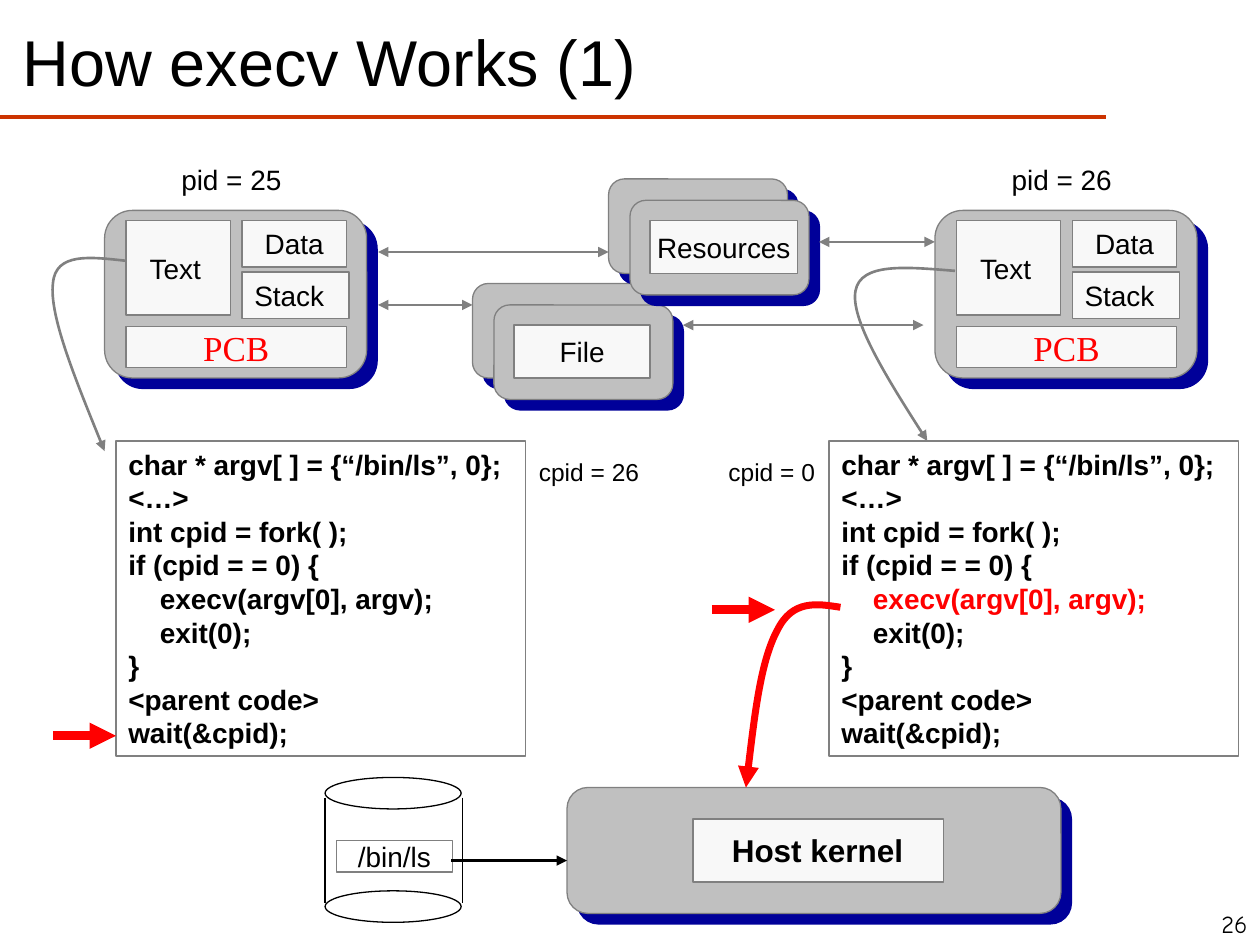
from lxml import etree
from pptx import Presentation
from pptx.dml.color import RGBColor
from pptx.enum import shapes as kinds, text as te
from pptx.oxml.ns import qn
from pptx.util import Inches, Pt

BLACK = RGBColor(0x00, 0x00, 0x00)
WHITE = RGBColor(0xFF, 0xFF, 0xFF)
RED = RGBColor(0xFF, 0x00, 0x00)
GRAY = RGBColor(0x80, 0x80, 0x80)
SILVER = RGBColor(0xC0, 0xC0, 0xC0)
PALE = RGBColor(0xF8, 0xF8, 0xF8)
NAVY = RGBColor(0x00, 0x00, 0x99)
RUST = RGBColor(0xCC, 0x33, 0x00)

RECT = kinds.MSO_SHAPE.RECTANGLE
OVAL = kinds.MSO_SHAPE.OVAL
ROUND = kinds.MSO_SHAPE.ROUNDED_RECTANGLE
LEFT, CENTER, RIGHT = te.PP_ALIGN.LEFT, te.PP_ALIGN.CENTER, te.PP_ALIGN.RIGHT
TOP, MIDDLE, BOTTOM = te.MSO_ANCHOR.TOP, te.MSO_ANCHOR.MIDDLE, te.MSO_ANCHOR.BOTTOM

CODE = [
    ("char * argv[ ] = {“/bin/ls”, 0};", 0),
    ("<…>", 0),
    ("int cpid = fork( );", 0),
    ("if (cpid = = 0) {", 0),
    ("execv(argv[0], argv);", 0.25),
    ("exit(0);", 0.25),
    ("}", 0),
    ("<parent code>", 0),
    ("wait(&cpid);", 0),
]


def write(p, text, size=16, color=BLACK, bold=False, font="Arial", align=LEFT, indent=0):
    """Put one formatted run of text in a paragraph."""
    p.alignment = align
    if indent:
        p._p.get_or_add_pPr().set("marL", str(Inches(indent)))
    r = p.add_run()
    r.text = text
    r.font.size = Pt(size)
    r.font.name = font
    r.font.bold = bold
    r.font.color.rgb = color


def frame(sp, anchor=TOP, wrap=False):
    """Set the anchor and wrapping of a shape's text and return its first paragraph."""
    tf = sp.text_frame
    tf.vertical_anchor = anchor
    tf.word_wrap = wrap
    tf.auto_size = te.MSO_AUTO_SIZE.NONE
    return tf.paragraphs[0]


def add_label(shapes, text, x, y, w, h, anchor=TOP, **style):
    """Add a plain text box."""
    sp = shapes.add_textbox(Inches(x), Inches(y), Inches(w), Inches(h))
    write(frame(sp, anchor), text, **style)


def add_box(shapes, x, y, w, h, text="", kind=RECT, fill=PALE, line=GRAY,
            anchor=MIDDLE, align=CENTER, **style):
    """Add a preset shape with an optional caption."""
    sp = shapes.add_shape(kind, Inches(x), Inches(y), Inches(w), Inches(h))
    sp.shadow.inherit = False
    if fill is None:
        sp.fill.background()
    else:
        sp.fill.solid()
        sp.fill.fore_color.rgb = fill
    if line is None:
        sp.line.fill.background()
    else:
        sp.line.color.rgb = line
        sp.line.width = Pt(0.75)
    p = frame(sp, anchor)
    if text:
        write(p, text, align=align, **style)
    return sp


def add_panel(shapes, x, y, w, h):
    """Add a rounded panel with a hard offset shadow."""
    sp = add_box(shapes, x, y, w, h, kind=ROUND, fill=SILVER)
    effects = sp.element.spPr.find(qn("a:effectLst"))
    shadow = etree.SubElement(effects, qn("a:outerShdw"), blurRad="0", dist=str(Pt(8.5)),
                              dir="2700000", algn="ctr", rotWithShape="0")
    etree.SubElement(shadow, qn("a:srgbClr"), val=str(NAVY))


def style_line(sp, color, width, ends=()):
    """Colour an open line and put arrowheads on the named ends."""
    sp.line.color.rgb = color
    sp.line.width = Pt(width)
    ln = sp.element.spPr.find(qn("a:ln"))
    for end in ends:
        etree.SubElement(ln, qn(f"a:{end}"), type="triangle")


def add_line(shapes, x1, y1, x2, y2, color=GRAY, width=0.75, ends=()):
    """Add a straight line."""
    sp = shapes.add_connector(kinds.MSO_CONNECTOR.STRAIGHT, Inches(x1), Inches(y1),
                              Inches(x2), Inches(y2))
    style_line(sp, color, width, ends)
    etree.SubElement(sp.element.spPr, qn("a:effectLst"))


def add_curve(shapes, points, color=GRAY, width=1.5):
    """Add a curved arrow through a start point and triples of Bezier points."""
    pts = [(Inches(x), Inches(y)) for x, y in points]
    builder = shapes.build_freeform(*pts[0])
    builder.add_line_segments(pts[1:], close=False)
    sp = builder.convert_to_shape()
    path = sp.element.spPr.find(".//" + qn("a:path"))
    segments = path.findall(qn("a:lnTo"))
    for i in range(0, len(segments), 3):
        bezier = etree.SubElement(path, qn("a:cubicBezTo"))
        for segment in segments[i:i + 3]:
            bezier.append(segment[0])
            path.remove(segment)
    sp.fill.background()
    sp.shadow.inherit = False
    style_line(sp, color, width, ["tailEnd"])


def add_process(shapes, x, pid):
    """Add a process panel with its memory parts and pid."""
    add_panel(shapes, x, 1.67, 2.08, 1.33)
    add_box(shapes, x + 0.17, 1.75, 0.83, 0.75)
    add_box(shapes, x + 0.26, 1.95, 0.63, 0.37, "Text", line=None, anchor=TOP, align=LEFT)
    add_box(shapes, x + 0.17, 2.59, 1.75, 0.33, "PCB", size=20, color=RED,
            font="Times New Roman")
    add_box(shapes, x + 1.09, 2.16, 0.85, 0.37, "Stack", anchor=TOP, align=LEFT)
    add_box(shapes, x + 1.09, 1.75, 0.83, 0.37, "Data", anchor=TOP)
    add_label(shapes, f"pid = {pid}", x + 0.51, 1.24, 0.99, 0.37)


def add_stack(shapes, x, y, text, w):
    """Add two overlapping panels with a caption box."""
    for step in (0, 0.17):
        add_panel(shapes, x + step, y + step, 1.42, 0.75)
    add_box(shapes, x + 0.33, y + 0.33, w, 0.42, text)


def add_code(shapes, x, current=None):
    """Add the program listing with the current line in red."""
    sp = add_box(shapes, x, 3.5, 3.25, 2.5, fill=None)
    p = frame(sp, TOP, wrap=True)
    for i, (text, indent) in enumerate(CODE):
        if i:
            p = sp.text_frame.add_paragraph()
        write(p, text, bold=True, indent=indent, color=RED if i == current else BLACK)


def add_kernel(shapes):
    """Add the kernel panel."""
    add_panel(shapes, 4.5, 6.25, 3.92, 1)
    group = shapes.add_group_shape().shapes
    add_box(group, 5.5, 6.5, 1.99, 0.5)
    add_label(group, "Host kernel", 5.71, 6.55, 1.6, 0.4, size=18, bold=True)


def add_disk(shapes):
    """Add the disk that holds the program file."""
    add_box(shapes, 2.67, 6.67, 0.92, 0.25, "/bin/ls", fill=WHITE)
    group = shapes.add_group_shape().shapes
    for y in (6.17, 7.07):
        add_box(group, 2.58, y, 1.08, 0.25, kind=OVAL, fill=WHITE, line=BLACK)
    for x in (2.58, 3.67):
        add_line(group, x, 6.33, x, 7.17, BLACK)
    add_line(shapes, 3.58, 6.83, 4.5, 6.83, BLACK, 1.5, ["tailEnd"])


def main():
    """Build the slide and save it."""
    prs = Presentation()
    prs.slide_width, prs.slide_height = Inches(10), Inches(7.5)
    slide = prs.slides.add_slide(prs.slide_layouts[5])
    shapes = slide.shapes
    title = shapes.title
    title.left, title.top, title.width, title.height = map(Inches, (0.08, 0.19, 9.67, 0.65))
    write(frame(title, BOTTOM, wrap=True), "How execv Works (1)", size=37)
    add_line(shapes, 0, 0.93, 8.78, 0.93, RUST, 2)
    add_label(shapes, "26", 9.67, 7.17, 0.33, 0.33, MIDDLE, size=14, font="Comic Neue",
              align=RIGHT)

    both = ["headEnd", "tailEnd"]
    add_kernel(shapes)
    add_line(shapes, 3, 2.42, 3.75, 2.42, ends=both)
    add_line(shapes, 3, 2, 4.83, 2, ends=both)
    add_process(shapes, 0.83, 25)
    add_stack(shapes, 3.75, 2.25, "File", 1.08)
    add_stack(shapes, 4.83, 1.42, "Resources", 1.17)
    add_code(shapes, 0.92)
    add_curve(shapes, [(1, 2.07), (0.72, 2.04), (0.44, 2), (0.42, 2.25),
                       (0.39, 2.5), (0.61, 3.04), (0.83, 3.58)])
    add_line(shapes, 6.5, 1.92, 7.42, 1.92, ends=both)
    add_process(shapes, 7.42, 26)
    add_curve(shapes, [(7.58, 2.15), (7.2, 2.12), (6.83, 2.08), (6.79, 2.31),
                       (6.75, 2.53), (7.05, 3.02), (7.36, 3.5)])
    add_line(shapes, 5.42, 2.58, 7.33, 2.58, ends=both)
    add_label(shapes, "cpid = 26", 4.18, 3.58, 0.99, 0.34, size=14, align=CENTER)
    add_label(shapes, "cpid = 0", 5.68, 3.58, 0.89, 0.34, size=14, align=CENTER)
    add_code(shapes, 6.58, current=4)
    for x, y in ((0.42, 5.84), (5.65, 4.84)):
        add_line(shapes, x, y, x + 0.5, y, RED, 5, ["tailEnd"])
    add_curve(shapes, [(6.67, 4.82), (6.48, 4.79), (6.29, 4.76), (6.17, 5),
                       (6.04, 5.24), (5.98, 5.74), (5.92, 6.25)], RED, 4)
    add_disk(shapes)
    prs.save("out.pptx")


if __name__ == "__main__":
    main()
